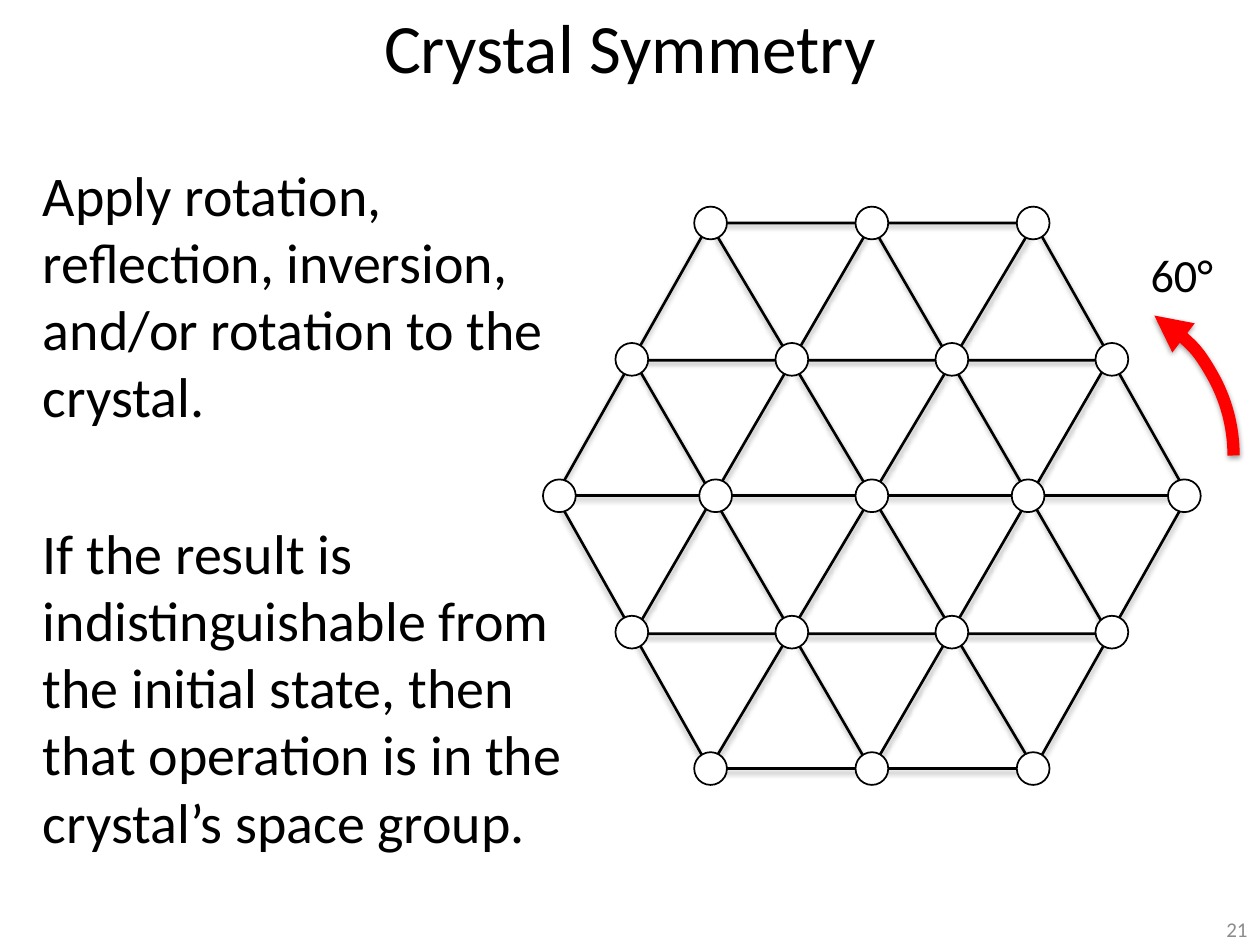
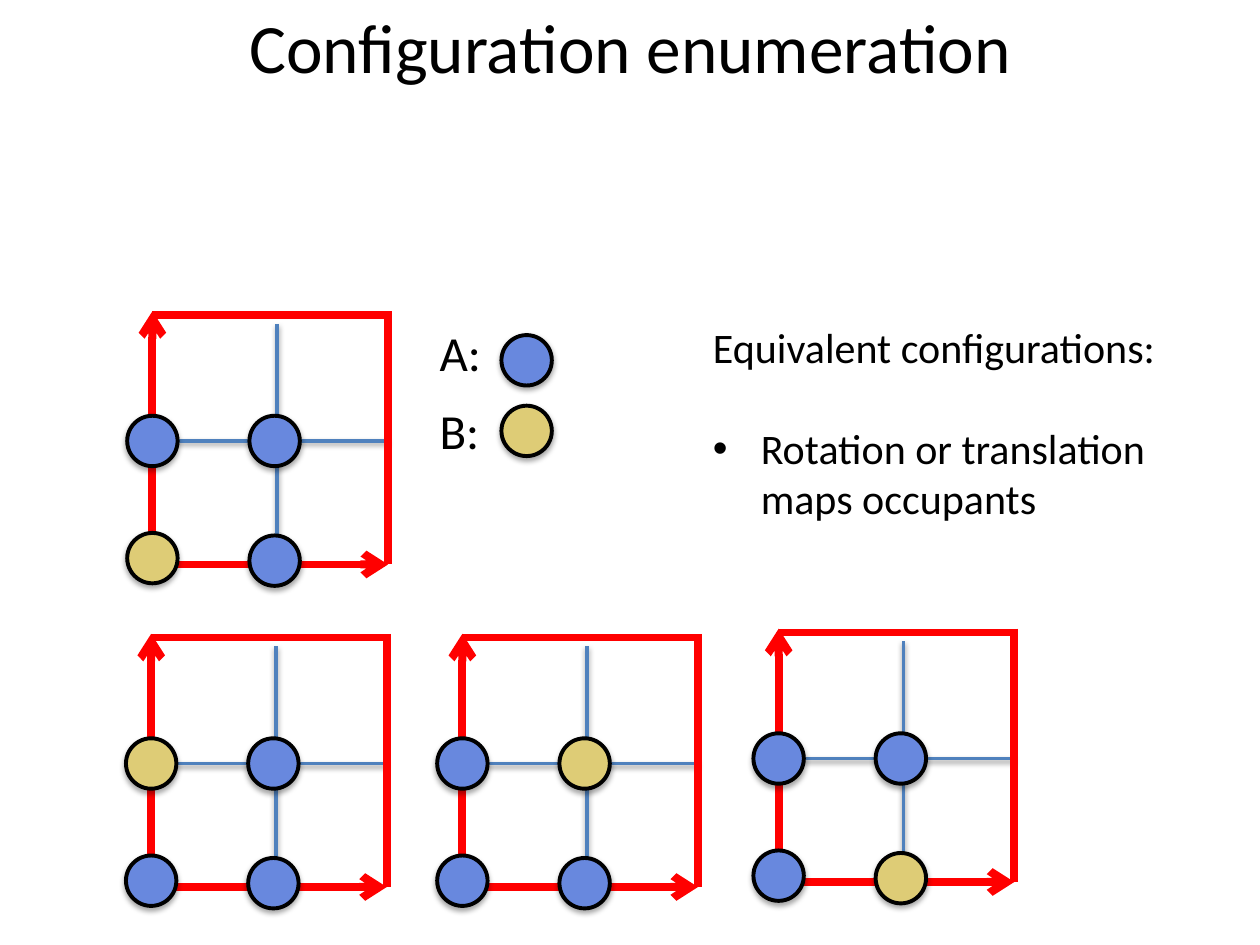
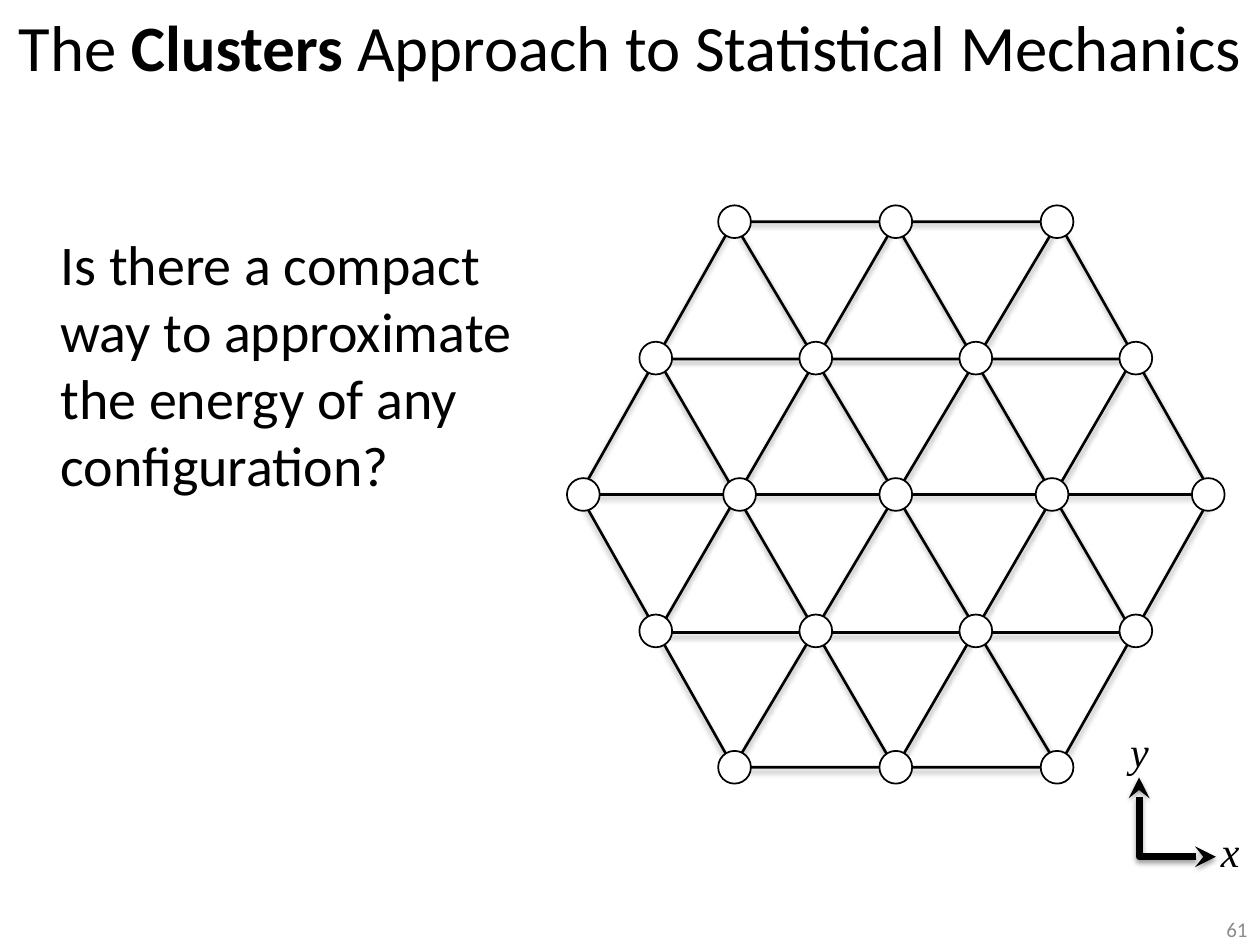
from lxml import etree
from pptx import Presentation
from pptx.dml.color import RGBColor
from pptx.enum.shapes import MSO_CONNECTOR, MSO_SHAPE
from pptx.enum.text import MSO_ANCHOR, MSO_AUTO_SIZE, PP_ALIGN
from pptx.oxml.ns import qn
from pptx.util import Inches, Pt

STRAIGHT = MSO_CONNECTOR.STRAIGHT
ELLIPSE = MSO_SHAPE.OVAL
HEXAGON = MSO_SHAPE.HEXAGON
TRIANGLE = MSO_SHAPE.ISOSCELES_TRIANGLE
ARC = MSO_SHAPE.ARC
TOP, MIDDLE = MSO_ANCHOR.TOP, MSO_ANCHOR.MIDDLE
LEFT, CENTER, RIGHT = PP_ALIGN.LEFT, PP_ALIGN.CENTER, PP_ALIGN.RIGHT
NO_AUTOFIT = MSO_AUTO_SIZE.NONE

BLACK = RGBColor(0x00, 0x00, 0x00)
WHITE = RGBColor(0xFF, 0xFF, 0xFF)
GRAY = RGBColor(0x8C, 0x8C, 0x8C)
RED = RGBColor(0xFF, 0x00, 0x00)
GRID_BLUE = RGBColor(0x4F, 0x81, 0xBD)
ATOM_A = RGBColor(0x68, 0x88, 0xDE)
ATOM_B = RGBColor(0xDE, 0xCC, 0x76)

FONT = "Calibri"
MATH_FONT = "Times New Roman"
INDENT = 0.38
LINE_SHADOW = (38, 1.6)
SHAPE_SHADOW = (35, 1.8)

LATTICE_W, LATTICE_H = 5.02, 4.33
NODE_ROWS = [(3, 1.28), (4, 1.27), (5, 1.24), (4, 1.27), (3, 1.28)]
NODE_SIZE = 0.26

CELL_W, CELL_H = 1.87, 1.98
ATOM_SIZE = 0.4
ATOM_SITES = {
    "upper left": (0, 1),
    "upper right": (0.97, 1),
    "lower left": (0, 1.93),
    "lower right": (0.97, 1.95),
}


def set_shadow(sp, shadow):
    effects = etree.SubElement(sp._element.spPr, qn("a:effectLst"))
    if shadow:
        alpha, distance = shadow
        outer = etree.SubElement(
            effects, qn("a:outerShdw"), blurRad=str(Pt(3.1)),
            dist=str(Pt(distance)), dir="5400000", rotWithShape="0")
        color = etree.SubElement(outer, qn("a:srgbClr"), val=str(BLACK))
        etree.SubElement(color, qn("a:alpha"), val=str(alpha * 1000))


def set_outline(sp, color, width, shadow=None, head=None, tail=None):
    sp.line.color.rgb = color
    sp.line.width = Pt(width)
    ln = sp._element.spPr.find(qn("a:ln"))
    for tag, kind in (("a:headEnd", head), ("a:tailEnd", tail)):
        if kind:
            etree.SubElement(ln, qn(tag), type=kind)
    set_shadow(sp, shadow)


def add_line(slide, start, end, color, width, shadow=None, head=None):
    points = [Inches(v) for v in (*start, *end)]
    line = slide.shapes.add_connector(STRAIGHT, *points)
    set_outline(line, color, width, shadow, head)


def add_outline_shape(slide, kind, box, color, width, shadow, head=None):
    sp = slide.shapes.add_shape(kind, *[Inches(v) for v in box])
    sp.fill.background()
    set_outline(sp, color, width, shadow, head)
    return sp


def add_circle(slide, x, y, size, fill, width, shadow=None):
    box = (x - size / 2, y - size / 2, size, size)
    sp = add_outline_shape(slide, ELLIPSE, box, BLACK, width, shadow)
    sp.fill.solid()
    sp.fill.fore_color.rgb = fill


def format_runs(p, size, color=BLACK, font=FONT, italic=None):
    for r in p.runs:
        r.font.size = Pt(size)
        r.font.name = font
        r.font.color.rgb = color
        r.font.italic = italic


def indent_paragraph(p, first_line=0, bullet=None):
    pPr = p._p.get_or_add_pPr()
    pPr.set("marL", str(Inches(INDENT)))
    pPr.set("indent", str(Inches(first_line)))
    if bullet:
        etree.SubElement(pPr, qn("a:buFont"), typeface="Arial")
        etree.SubElement(pPr, qn("a:buChar"), char=bullet)
    else:
        etree.SubElement(pPr, qn("a:buNone"))


def place(sp, box):
    sp.left, sp.top, sp.width, sp.height = [Inches(v) for v in box]
    sp.text_frame.auto_size = NO_AUTOFIT


def add_text(slide, box, text, size, color=BLACK, align=LEFT, anchor=TOP,
             font=FONT, italic=None, wrap=True):
    tf = slide.shapes.add_textbox(*[Inches(v) for v in box]).text_frame
    tf.word_wrap = wrap
    tf.vertical_anchor = anchor
    tf.text = text
    for p in tf.paragraphs:
        p.alignment = align
        format_runs(p, size, color, font, italic)
    return tf


def set_title(slide, parts, size=39.6, bold_part=None):
    sp = slide.shapes.title
    place(sp, (0, 0.02, 10, 0.69))
    sp.text_frame.vertical_anchor = MIDDLE
    p = sp.text_frame.paragraphs[0]
    p.alignment = CENTER
    for part in parts:
        r = p.add_run()
        r.text = part
        r.font.bold = part == bold_part
    format_runs(p, size)


def set_body(slide, box, paragraphs):
    sp = slide.placeholders[1]
    place(sp, box)
    sp.text_frame.text = "\n".join(paragraphs)
    for i, p in enumerate(sp.text_frame.paragraphs):
        indent_paragraph(p)
        p.space_before = Pt(51 if i else 0)
        format_runs(p, 32)


def add_page_number(slide, number):
    add_text(slide, (7.92, 7.25, 2.08, 0.25), number, 12, GRAY, RIGHT, MIDDLE)


def add_lattice(slide, left, top):
    middle_x, middle_y = left + LATTICE_W / 2, top + LATTICE_H / 2
    near, far = middle_x - 1.29, middle_x + 1.29
    bottom = top + LATTICE_H
    for start, end in (((near, top), (far, bottom)),
                       ((far, top), (near, bottom)),
                       ((left, middle_y), (left + LATTICE_W, middle_y))):
        add_line(slide, start, end, BLACK, 1.5, LINE_SHADOW)

    hexagon = add_outline_shape(slide, HEXAGON, (left, top, LATTICE_W, LATTICE_H),
                                BLACK, 1.5, SHAPE_SHADOW)
    hexagon.adjustments[0] = 0.282
    for offset, flipped in ((0.01, False), (1.09, True)):
        triangle = add_outline_shape(
            slide, TRIANGLE, (left + 0.62, top + offset, 3.77, 3.25),
            BLACK, 1.5, SHAPE_SHADOW)
        if flipped:
            triangle._element.spPr.find(qn("a:xfrm")).set("flipV", "1")

    row_gap = LATTICE_H / (len(NODE_ROWS) - 1)
    for row, (count, pitch) in enumerate(NODE_ROWS):
        for i in range(count):
            x = middle_x + (i - (count - 1) / 2) * pitch
            add_circle(slide, x, top + row * row_gap, NODE_SIZE, WHITE, 1)


def add_atom(slide, x, y, color):
    add_circle(slide, x, y, ATOM_SIZE, color, 2.25, SHAPE_SHADOW)


def add_cell(slide, left, top, b_site):
    right, bottom = left + CELL_W, top + CELL_H
    add_line(slide, (left + 0.99, top + 0.07), (left + 0.99, top + 1.94),
             GRID_BLUE, 2, LINE_SHADOW)
    add_line(slide, (right, top + 1), (left, top + 1), GRID_BLUE, 2, LINE_SHADOW)
    for start, end, head in (
            ((left, top - 0.03), (left, bottom), "arrow"),
            ((right, top - 0.03), (right, bottom), None),
            ((right, bottom), (left - 0.03, bottom), "arrow"),
            ((left, top), (right, top), None)):
        add_line(slide, start, end, RED, 4.5, head=head)
    for site, (dx, dy) in ATOM_SITES.items():
        add_atom(slide, left + dx, top + dy, ATOM_B if site == b_site else ATOM_A)


def add_axes(slide):
    builder = slide.shapes.build_freeform(Inches(9.04), Inches(6.17))
    builder.add_line_segments(
        [(Inches(9.04), Inches(6.8)), (Inches(9.65), Inches(6.8))], close=False)
    axes = builder.convert_to_shape()
    axes.fill.background()
    set_outline(axes, BLACK, 4, LINE_SHADOW, "stealth", "stealth")
    for name, left, top in (("x", 9.59, 6.5), ("y", 8.87, 5.71)):
        add_text(slide, (left, top, 0.29, 0.5), name, 24, font=MATH_FONT, italic=True)


def build_symmetry(prs):
    slide = prs.slides.add_slide(prs.slide_layouts[1])
    set_title(slide, ["Crystal Symmetry"])
    set_body(slide, (-0.14, 1.22, 4.92, 5.94), [
        "Apply rotation, reflection, inversion, and/or rotation to the crystal.",
        "If the result is indistinguishable from the initial state, then that "
        "operation is in the crystal’s space group.",
    ])
    add_lattice(slide, 4.41, 1.77)
    arc = add_outline_shape(slide, ARC, (7.2, 2.32, 2.59, 2.59),
                            RED, 7, LINE_SHADOW, "triangle")
    arc.adjustments[0] = 180.58
    add_text(slide, (9.01, 1.83, 0.74, 0.69), "60°", 26.4, align=CENTER, anchor=MIDDLE)
    add_page_number(slide, "21")


def build_enumeration(prs):
    slide = prs.slides.add_slide(prs.slide_layouts[5])
    set_title(slide, ["Configuration enumeration"])
    for left, top, b_site in ((1.21, 2.5, "lower left"),
                              (1.2, 5.06, "upper left"),
                              (3.67, 5.06, "upper right"),
                              (6.18, 5.02, "lower right")):
        add_cell(slide, left, top, b_site)
    for label, top, atom_y, color in (("A:", 2.51, 2.86, ATOM_A),
                                      ("B:", 3.13, 3.42, ATOM_B)):
        add_text(slide, (3.39, top, 0.53, 0.57), label, 28, wrap=False)
        add_atom(slide, 4.18, atom_y, color)
    tf = add_text(slide, (5.56, 2.5, 4.31, 1.72),
                  "Equivalent configurations:\nRotation or translation maps occupants", 24)
    p = tf.paragraphs[1]
    indent_paragraph(p, -INDENT, "•")
    p.space_before = Pt(29)


def build_clusters(prs):
    slide = prs.slides.add_slide(prs.slide_layouts[1])
    set_title(slide, ["The ", "Clusters", " Approach to Statistical Mechanics"],
              37, "Clusters")
    set_body(slide, (0, 1.77, 4.25, 4.1), [
        "Is there a compact way to approximate the energy of any configuration?"])
    add_lattice(slide, 4.6, 1.76)
    add_axes(slide)
    add_page_number(slide, "61")


def main():
    prs = Presentation()
    prs.slide_width = Inches(10)
    prs.slide_height = Inches(7.5)
    build_symmetry(prs)
    build_enumeration(prs)
    build_clusters(prs)
    prs.save("out.pptx")


if __name__ == "__main__":
    main()
